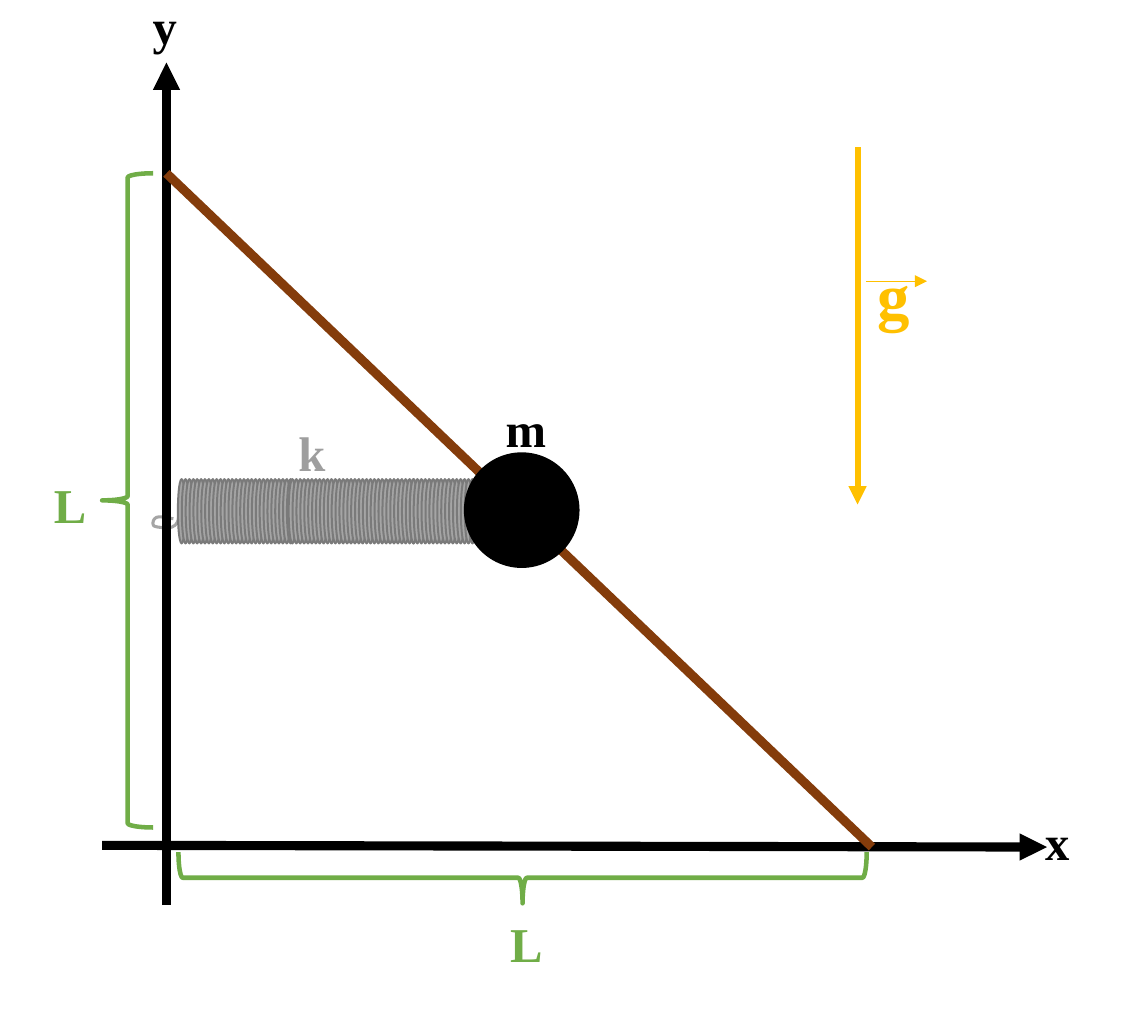
from lxml.etree import SubElement
from pptx import Presentation
from pptx.dml.color import RGBColor
from pptx.enum.shapes import MSO_CONNECTOR, MSO_SHAPE
from pptx.enum.text import MSO_AUTO_SIZE
from pptx.oxml.ns import qn
from pptx.util import Cm, Pt

BLACK = RGBColor(0x00, 0x00, 0x00)
BROWN = RGBColor(0x84, 0x3C, 0x0B)
GOLD = RGBColor(0xFF, 0xC0, 0x00)
GREEN = RGBColor(0x70, 0xAD, 0x47)
GRAY = RGBColor(0xA5, 0xA5, 0xA5)
EDGE = RGBColor(0x7A, 0x7A, 0x7A)
LABEL = RGBColor(0x9E, 0x9E, 0x9E)

# Each run of coils: first left, last left, count
COILS = [(3.1, 5.0, 29), (5.03, 7.14, 32), (7.14, 8.92, 27)]
HOOK = [
    (3.12, 8.92),
    (3.12, 9.02), (3.1, 9.14), (3.02, 9.17),
    (2.97, 9.22), (2.74, 9.19), (2.69, 9.17),
    (2.64, 9.14), (2.67, 9.04), (2.72, 9.02),
    (2.77, 8.99), (2.9, 9.02), (3.02, 9.04),
]


def bezier(a, b, c, d, steps=10):
    """Points along a cubic curve, without its first point."""
    for i in range(1, steps + 1):
        t = i / steps
        u = 1 - t
        yield tuple(
            Cm(u**3 * p + 3 * u * u * t * q + 3 * u * t * t * r + t**3 * s)
            for p, q, r, s in zip(a, b, c, d)
        )


class Sketch:
    def __init__(self, slide, font):
        self.shapes = slide.shapes
        self.font = font

    def line(self, start, end, color, width, arrow=False):
        line = self.shapes.add_connector(
            MSO_CONNECTOR.STRAIGHT, *map(Cm, start + end))
        line.line.color.rgb = color
        line.line.width = Pt(width)
        if arrow:
            SubElement(line.line._get_or_add_ln(), qn("a:tailEnd"), type="triangle")
        SubElement(line._element.spPr, qn("a:effectLst"))

    def style(self, shape, fill, color, width):
        shape.shadow.inherit = False
        if fill is None:
            shape.fill.background()
        else:
            shape.fill.solid()
            shape.fill.fore_color.rgb = fill
        shape.line.color.rgb = color
        shape.line.width = Pt(width)

    def oval(self, box, fill, color):
        shape = self.shapes.add_shape(MSO_SHAPE.OVAL, *map(Cm, box))
        self.style(shape, fill, color, 1)

    def brace(self, box, angle=0):
        shape = self.shapes.add_shape(MSO_SHAPE.LEFT_BRACE, *map(Cm, box))
        shape.rotation = angle
        self.style(shape, None, GREEN, 2.25)

    def curve(self, points, color, width):
        """Draw an open chain of cubic curves."""
        outline = self.shapes.build_freeform(*map(Cm, points[0]))
        for i in range(0, len(points) - 1, 3):
            outline.add_line_segments(bezier(*points[i:i + 4]), close=False)
        self.style(outline.convert_to_shape(), None, color, width)

    def text(self, words, box, color, size=24):
        frame = self.shapes.add_textbox(*map(Cm, box)).text_frame
        frame.word_wrap = False
        frame.auto_size = MSO_AUTO_SIZE.SHAPE_TO_FIT_TEXT
        para = frame.paragraphs[0]
        para.text = words
        para.font.name = self.font
        para.font.size = Pt(size)
        para.font.bold = True
        para.font.color.rgb = color


def main():
    deck = Presentation()
    deck.slide_width, deck.slide_height = Cm(20), Cm(18)
    sketch = Sketch(deck.slides.add_slide(deck.slide_layouts[6]), "Times New Roman")

    # Wall hook, axes and rod
    sketch.curve(HOOK, GRAY, 1.5)
    sketch.line((2.9, 15.77), (2.9, 1.09), BLACK, 4.5, arrow=True)
    sketch.line((1.78, 14.73), (18.24, 14.76), BLACK, 4.5, arrow=True)
    sketch.line((2.9, 3.02), (15.19, 14.76), BROWN, 4.5)

    # Spring and mass
    for first, last, count in COILS:
        step = (last - first) / (count - 1)
        for i in range(count):
            sketch.oval((first + i * step, 8.35, 0.13, 1.12), GRAY, EDGE)
    sketch.oval((8.1, 7.9, 1.98, 1.98), BLACK, BLACK)

    # Gravity
    sketch.line((14.94, 2.57), (14.94, 8.79), GOLD, 3, arrow=True)
    sketch.text("g", (15.04, 4.32, 1.09, 1.63), GOLD, 32)
    sketch.line((15.09, 4.9), (16.15, 4.9), GOLD, 0.5, arrow=True)

    # Labels and lengths
    sketch.text("k", (4.95, 7.24, 0.99, 1.27), LABEL)
    sketch.text("m", (8.56, 6.83, 1.22, 1.27), BLACK)
    sketch.text("y", (2.41, -0.2, 0.94, 1.27), BLACK)
    sketch.text("x", (17.96, 14.02, 0.94, 1.27), BLACK)
    sketch.brace((1.78, 3.02, 0.89, 11.4))
    sketch.brace((8.66, 9.3, 0.89, 11.99), 270)
    sketch.text("L", (8.64, 15.8, 1.09, 1.27), GREEN)
    sketch.text("L", (0.69, 8.15, 1.09, 1.27), GREEN)

    deck.save("out.pptx")


if __name__ == "__main__":
    main()
